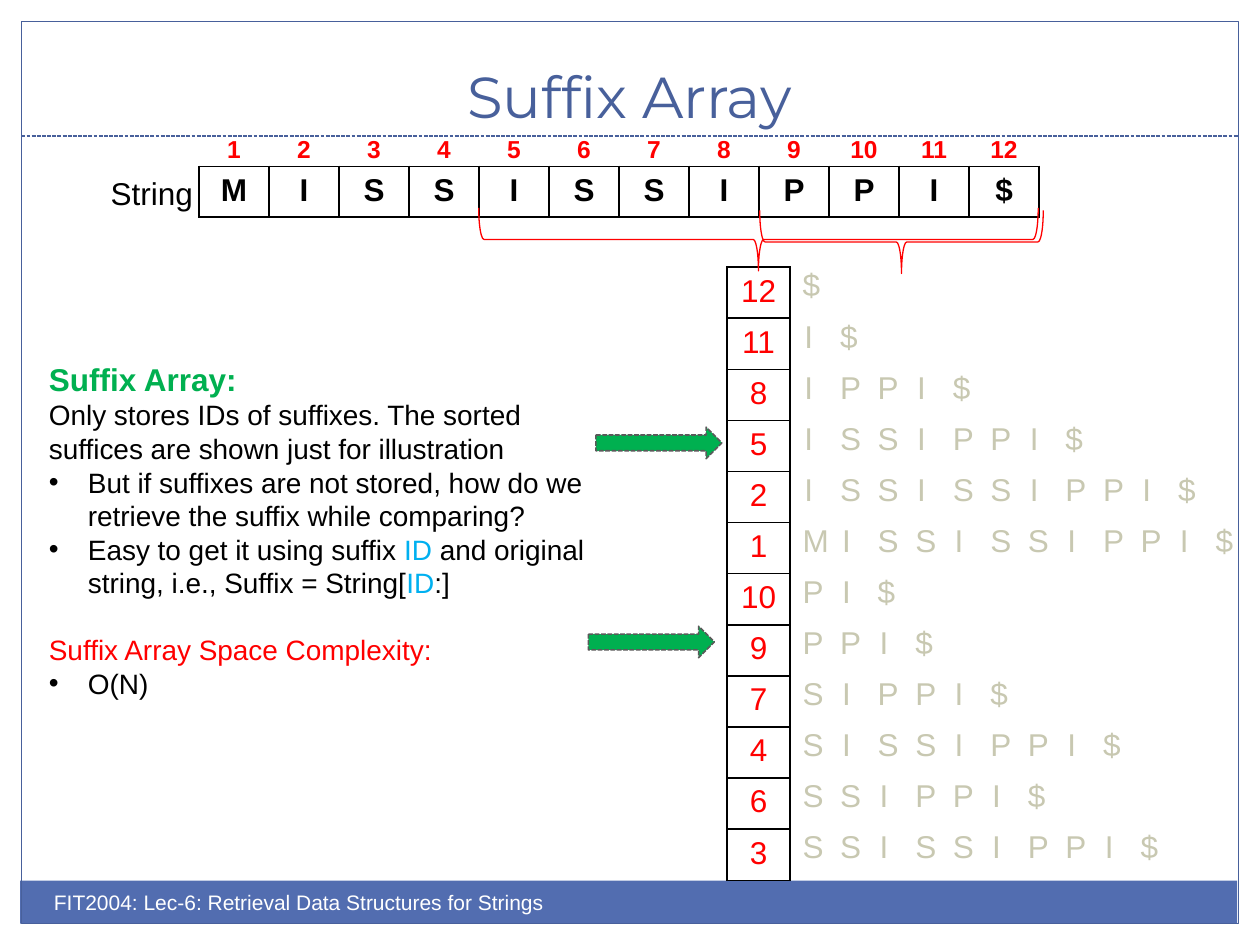
from dataclasses import dataclass

import lxml.etree
import pptx
import pptx.dml.color
import pptx.enum.dml
import pptx.enum.shapes
import pptx.enum.text
import pptx.oxml.ns
import pptx.util
from pptx.util import Inches

COLORS = {
    "frame": "48609B", "band": "526DB0", "white": "FFFFFF", "black": "000000",
    "red": "FF0000", "green": "00B050", "blue": "00B0F0", "suffix": "C8C8B1",
    "arrow line": "5A5A5A",
}
NO_GRID_STYLE = "{2D5ABB26-0587-4C30-8999-92F81FD0307C}"
SHAPES = pptx.enum.shapes.MSO_SHAPE
CENTER = pptx.enum.text.PP_ALIGN.CENTER
DASH = pptx.enum.dml.MSO_LINE.SQUARE_DOT

TEXT = "MISSISSIPPI$"
SUFFIX_IDS = sorted(range(1, len(TEXT) + 1), key=lambda start: TEXT[start - 1:])


@dataclass
class Box:
    left: float
    top: float
    width: float
    height: float

    def lengths(self) -> tuple:
        return tuple(Inches(v) for v in (self.left, self.top, self.width, self.height))


@dataclass
class Style:
    size: int
    color: str
    bold: bool = False
    name: str = "Arial"


@dataclass
class Para:
    spans: list  # (text, colour name) pairs; None keeps the paragraph's colour
    style: Style
    bullet: bool = False
    space_before: float = 0


def rgb(color: str):
    return pptx.dml.color.RGBColor.from_string(COLORS[color])


def set_font(para, style: Style) -> None:
    para.font.name = style.name
    para.font.size = pptx.util.Pt(style.size)
    para.font.bold = style.bold
    para.font.color.rgb = rgb(style.color)


def add_child(parent, tag: str, **attributes: str):
    return lxml.etree.SubElement(parent, pptx.oxml.ns.qn(tag), attributes)


def set_line(line, color: str, width: float, dashed: bool = False) -> None:
    line.color.rgb = rgb(color)
    line.width = pptx.util.Pt(width)
    if dashed:
        line.dash_style = DASH


def add_shape(page, kind, box: Box, fill=None, line=None, width=0.75, dashed=False):
    shape = page.shapes.add_shape(kind, *box.lengths())
    shape.shadow.inherit = False
    if fill:
        shape.fill.solid()
        shape.fill.fore_color.rgb = rgb(fill)
    else:
        shape.fill.background()
    if line:
        set_line(shape.line, line, width, dashed)
    else:
        shape.line.fill.background()
    return shape


def add_text(page, box: Box, paras: list[Para], wrap: bool = True):
    frame = page.shapes.add_textbox(*box.lengths()).text_frame
    frame.word_wrap = wrap
    for index, item in enumerate(paras):
        para = frame.paragraphs[0] if index == 0 else frame.add_paragraph()
        if item.bullet:
            properties = para._p.get_or_add_pPr()
            properties.set("marL", str(Inches(0.31)))
            properties.set("indent", str(-Inches(0.31)))
            add_child(properties, "a:buFont", typeface="Arial")
            add_child(properties, "a:buChar", char="•")
        if item.space_before:
            para.space_before = pptx.util.Pt(item.space_before)
        set_font(para, item.style)
        for text, color in item.spans:
            span = para.add_run()
            span.text = text
            if color:
                span.font.color.rgb = rgb(color)
    return frame


def add_grid(page, box: Box, rows: list, style: Style, bordered: bool = False) -> None:
    """Equal rows and columns; short rows leave their last cells empty."""
    columns = max(len(row) for row in rows)
    table = page.shapes.add_table(len(rows), columns, *box.lengths()).table
    table.first_row = table.horz_banding = False
    table._tbl.tblPr.find(pptx.oxml.ns.qn("a:tableStyleId")).text = NO_GRID_STYLE
    for column in table.columns:
        column.width = Inches(box.width / columns)
    for row in table.rows:
        row.height = Inches(box.height / len(rows))
    for cell in table.iter_cells():
        if bordered:
            for side in ("a:lnL", "a:lnR", "a:lnT", "a:lnB"):
                border = add_child(cell._tc.get_or_add_tcPr(), side, w=str(pptx.util.Pt(1)))
                add_child(add_child(border, "a:solidFill"), "a:srgbClr", val=COLORS["black"])
        cell.fill.background()
    for row_index, row in enumerate(rows):
        for column_index, value in enumerate(row):
            para = table.cell(row_index, column_index).text_frame.paragraphs[0]
            para.alignment = CENTER
            set_font(para, style)
            para.add_run().text = str(value)


def add_brace(page, left: float, top: float, length: float, depth: float = 0.5) -> None:
    """A brace pointing down: a left brace turned about its centre."""
    shift = (length - depth) / 2
    box = Box(left + shift, top - shift, depth, length)
    add_shape(page, SHAPES.LEFT_BRACE, box, line="red").rotation = 270


def main() -> None:
    deck = pptx.Presentation()
    deck.slide_width, deck.slide_height = Inches(10), Inches(7.5)
    page = deck.slides.add_slide(deck.slide_layouts[6])

    # Footer band, frame and rule under the title
    add_shape(page, SHAPES.RECTANGLE, Box(0.16, 6.99, 9.66, 0.34), fill="band")
    add_shape(page, SHAPES.RECTANGLE, Box(0.17, 0.17, 9.66, 7.16), line="frame")
    rule = page.shapes.add_connector(
        pptx.enum.shapes.MSO_CONNECTOR.STRAIGHT,
        Inches(0.17), Inches(1.08), Inches(9.83), Inches(1.08))
    set_line(rule.line, "frame", 0.75, dashed=True)
    add_child(rule._element.spPr, "a:effectLst")

    # Title and footer
    title = add_text(page, Box(0.33, 0.25, 9.33, 0.83), [
        Para([("Suffix Array", None)], Style(33, "frame", name="Montserrat"))])
    title.vertical_anchor = pptx.enum.text.MSO_ANCHOR.BOTTOM
    title.paragraphs[0].alignment = CENTER
    add_text(page, Box(0.33, 7.01, 5, 0.4), [
        Para([("FIT2004: Lec-6: Retrieval Data Structures for Strings", None)],
             Style(12, "white"))])

    # The string and its positions
    add_grid(page, Box(1.58, 1.32, 6.67, 0.4), [TEXT], Style(18, "black", True), bordered=True)
    add_grid(page, Box(1.58, 1.03, 6.67, 0.4), [range(1, len(TEXT) + 1)],
             Style(14, "red", True))
    add_text(page, Box(0.78, 1.33, 0.86, 0.4),
             [Para([("String", None)], Style(18, "black"))], wrap=False)

    # Sorted suffixes beside their IDs
    add_grid(page, Box(6.27, 2.08, 3.58, 4.87),
             [TEXT[start - 1:] for start in SUFFIX_IDS], Style(18, "suffix"))
    add_grid(page, Box(5.77, 2.12, 0.5, 4.87),
             [[start] for start in SUFFIX_IDS], Style(18, "red"), bordered=True)

    # Explanation
    body = Style(16, "black")
    add_text(page, Box(0.29, 2.81, 4.56, 2.83), [
        Para([("Suffix Array:", None)], Style(18, "green", True)),
        Para([("Only stores IDs of suffixes. The sorted suffices are shown just for "
               "illustration", None)], body),
        Para([("But if suffixes are not stored, how do we retrieve the suffix while "
               "comparing?", None)], body, bullet=True),
        Para([("Easy to get it using suffix ", None), ("ID", "blue"),
              (" and original string, i.e., Suffix = String[", None), ("ID", "blue"),
              (":]", None)], body, bullet=True),
        Para([("Suffix Array Space Complexity:", None)], Style(16, "red"), space_before=19),
        Para([("O(N)", None)], body, bullet=True),
    ])

    # Braces under the compared suffixes, arrows to their IDs
    add_brace(page, 6.03, 1.67, 2.25)
    for left, top in ((4.67, 4.97), (4.73, 3.39)):
        add_shape(page, SHAPES.RIGHT_ARROW, Box(left, top, 1, 0.25), fill="green",
                  line="arrow line", width=0.9, dashed=True)
    add_brace(page, 3.8, 1.65, 4.44)

    deck.save("out.pptx")


if __name__ == "__main__":
    main()
